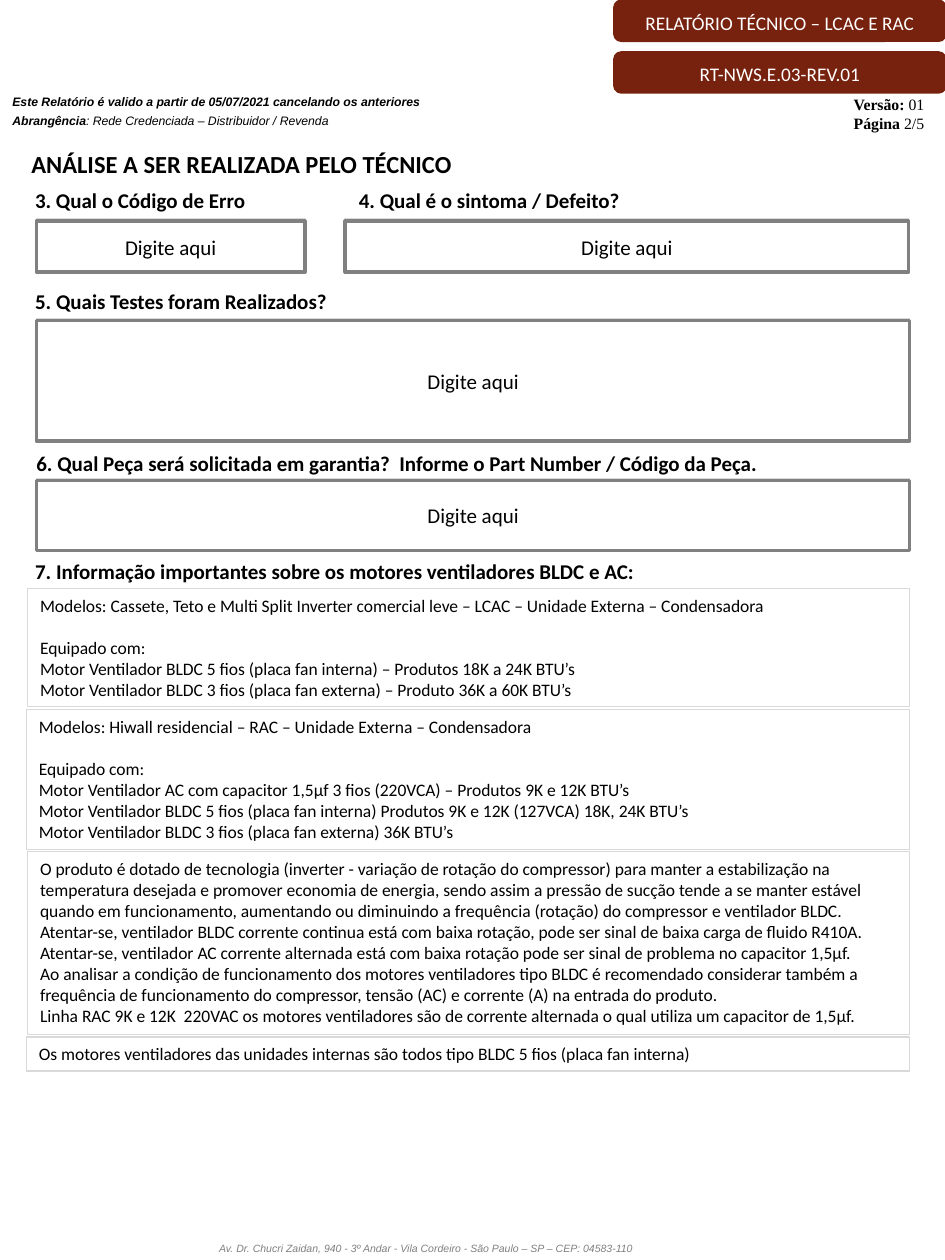
import pptx
import pptx.dml.color
import pptx.enum.shapes
import pptx.enum.text
import pptx.util

RGBColor = pptx.dml.color.RGBColor
ALIGN = pptx.enum.text.PP_ALIGN
ANCHOR = pptx.enum.text.MSO_ANCHOR
AUTO_SIZE = pptx.enum.text.MSO_AUTO_SIZE
SHAPE = pptx.enum.shapes.MSO_SHAPE
Pt = pptx.util.Pt

BROWN = RGBColor(0x77, 0x22, 0x0E)
WHITE = RGBColor(0xFF, 0xFF, 0xFF)
BLACK = RGBColor(0x00, 0x00, 0x00)
GRAY = RGBColor(0x80, 0x80, 0x80)
LIGHT_GRAY = RGBColor(0xD9, 0xD9, 0xD9)

COLUMNS, ROWS = 75, 100
CELL = pptx.util.Inches(7.5) // COLUMNS
FIELD_OFFSET = 0.15

BANNERS = ["RELATÓRIO TÉCNICO – LCAC E RAC", "RT-NWS.E.03-REV.01"]

HEADINGS = [
    (1.5, 11.3, 36.1, 14, "ANÁLISE A SER REALIZADA PELO TÉCNICO"),
    (1.8, 14.4, 19, 12, "3. Qual o Código de Erro"),
    (27.5, 14.4, 23.4, 12, "4. Qual é o sintoma / Defeito?"),
    (1.8, 22.4, 25.8, 12, "5. Quais Testes foram Realizados?"),
    (1.9, 35.3, 59.9, 12,
     "6. Qual Peça será solicitada em garantia?  Informe o Part Number / Código da Peça."),
    (1.8, 43.8, 50.5, 12,
     "7. Informação importantes sobre os motores ventiladores BLDC e AC:"),
]

FIELDS = [
    (2.9, 17.4, 21.3, 4.2),
    (27.4, 17.4, 44.7, 4.2),
    (2.9, 25.3, 69.3, 9.7),
    (2.9, 38, 69.3, 5.7),
]

NOTES = [
    (2.2, 46.7, 9.4, [
        "Modelos: Cassete, Teto e Multi Split Inverter comercial leve – LCAC – Unidade Externa – Condensadora",
        "Equipado com:\vMotor Ventilador BLDC 5 fios (placa fan interna) – Produtos 18K a 24K BTU’s",
        "Motor Ventilador BLDC 3 fios (placa fan externa) – Produto 36K a 60K BTU’s",
    ]),
    (2.1, 56.3, 11.1, [
        "Modelos: Hiwall residencial – RAC – Unidade Externa – Condensadora",
        "Equipado com:",
        "Motor Ventilador AC com capacitor 1,5µf 3 fios (220VCA) – Produtos 9K e 12K BTU’s",
        "Motor Ventilador BLDC 5 fios (placa fan interna) Produtos 9K e 12K (127VCA) 18K, 24K BTU’s",
        "Motor Ventilador BLDC 3 fios (placa fan externa) 36K BTU’s",
    ]),
    (2.2, 67.6, 14.5, [
        "O produto é dotado de tecnologia (inverter - variação de rotação do compressor) para manter a "
        "estabilização na temperatura desejada e promover economia de energia, sendo assim a pressão de "
        "sucção tende a se manter estável quando em funcionamento, aumentando ou diminuindo a frequência "
        "(rotação) do compressor e ventilador BLDC. Atentar-se, ventilador BLDC corrente continua está com "
        "baixa rotação, pode ser sinal de baixa carga de fluido R410A.\v"
        "Atentar-se, ventilador AC corrente alternada está com baixa rotação pode ser sinal de problema no "
        "capacitor 1,5µf.",
        "Ao analisar a condição de funcionamento dos motores ventiladores tipo BLDC é recomendado considerar "
        "também a frequência de funcionamento do compressor, tensão (AC) e corrente (A) na entrada do produto.",
        "Linha RAC 9K e 12K  220VAC os motores ventiladores são de corrente alternada o qual utiliza um "
        "capacitor de 1,5µf.",
    ]),
    (2.1, 82.3, 2.7, [
        "Os motores ventiladores das unidades internas são todos tipo BLDC 5 fios (placa fan interna)",
    ]),
]


def grid(*lengths):
    return [round(length * CELL) for length in lengths]


def style(paragraph, size, name="Calibri", color=BLACK, align=ALIGN.LEFT, bold=None, italic=None):
    paragraph.alignment = align
    font = paragraph.font
    font.size, font.name = Pt(size), name
    font.bold, font.italic = bold, italic
    font.color.rgb = color


def space_out(paragraph):
    paragraph.line_spacing = 1.15
    paragraph.space_after = Pt(10)


def add_box(slide, place, line, width, kind=SHAPE.RECTANGLE, fill=None):
    shape = slide.shapes.add_shape(kind, *grid(*place))
    shape.shadow.inherit = False
    if fill is None:
        shape.fill.background()
    else:
        shape.fill.solid()
        shape.fill.fore_color.rgb = fill
    shape.line.color.rgb = line
    shape.line.width = Pt(width)
    shape.text_frame.word_wrap = True
    return shape


def add_text(slide, place):
    frame = slide.shapes.add_textbox(*grid(*place)).text_frame
    frame.word_wrap = True
    return frame


def add_parts(paragraph, bold_text, plain_text):
    for text, bold in ((bold_text, True), (plain_text, False)):
        run = paragraph.add_run()
        run.text = text
        run.font.bold = bold


def add_banner(slide, top, text):
    shape = add_box(slide, (48.8, top, 26.2, 3.1), BROWN, 2, SHAPE.ROUNDED_RECTANGLE, BROWN)
    shape.text_frame.vertical_anchor = ANCHOR.MIDDLE
    paragraph = shape.text_frame.paragraphs[0]
    paragraph.text = text
    space_out(paragraph)
    style(paragraph, 11, color=WHITE, align=ALIGN.CENTER)


def add_heading(slide, left, top, width, size, text):
    frame = add_text(slide, (left, top, width, 3.4 if size > 12 else 3))
    frame.word_wrap = False
    frame.auto_size = AUTO_SIZE.SHAPE_TO_FIT_TEXT
    frame.paragraphs[0].text = text
    style(frame.paragraphs[0], size, bold=True)


def add_field(slide, left, top, width, height):
    add_box(slide, (left, top, width, height), LIGHT_GRAY, 1)
    place = (left, top + FIELD_OFFSET, width, height - FIELD_OFFSET)
    frame = add_box(slide, place, GRAY, 2).text_frame
    frame.vertical_anchor = ANCHOR.MIDDLE
    frame.paragraphs[0].text = "Digite aqui"
    style(frame.paragraphs[0], 12, align=ALIGN.CENTER)


def add_note(slide, left, top, height, texts):
    frame = add_box(slide, (left, top, 72.2 - left, height), LIGHT_GRAY, 0.75).text_frame
    frame.vertical_anchor = ANCHOR.TOP
    frame.auto_size = AUTO_SIZE.SHAPE_TO_FIT_TEXT
    for index, text in enumerate(texts):
        paragraph = frame.add_paragraph() if index else frame.paragraphs[0]
        paragraph.text = text
        if text.startswith("Equipado com:"):
            paragraph.space_before = Pt(12)
        style(paragraph, 10)


def add_validity(slide):
    validity = add_text(slide, (0, 6.8, 43.8, 1.4)).paragraphs[0]
    validity.text = "Este Relatório é valido a partir de 05/07/2021 cancelando os anteriores"
    space_out(validity)
    style(validity, 7, "Arial", bold=True, italic=True)
    scope = add_text(slide, (0, 8.3, 41.6, 2.3)).paragraphs[0]
    add_parts(scope, "Abrangência", ": Rede Credenciada – Distribuidor / Revenda")
    space_out(scope)
    style(scope, 7, "Arial", italic=True)


def add_version(slide):
    frame = add_text(slide, (66.3, 7.3, 8.5, 3.5))
    frame.vertical_anchor = ANCHOR.MIDDLE
    frame.margin_left = frame.margin_right = frame.margin_top = frame.margin_bottom = 0
    for paragraph, parts in (
        (frame.paragraphs[0], ("Versão:", " 01")),
        (frame.add_paragraph(), ("Página ", "2/5")),
    ):
        add_parts(paragraph, *parts)
        style(paragraph, 9, "Times New Roman", align=ALIGN.CENTER)


def add_footer(slide):
    paragraph = add_text(slide, (0, 97.9, 67.6, 2.1)).paragraphs[0]
    paragraph.text = "Av. Dr. Chucri Zaidan, 940 - 3º Andar - Vila Cordeiro - São Paulo – SP – CEP: 04583-110"
    space_out(paragraph)
    style(paragraph, 6, "Arial", GRAY, ALIGN.CENTER, italic=True)


def main():
    presentation = pptx.Presentation()
    presentation.slide_width, presentation.slide_height = grid(COLUMNS, ROWS)
    slide = presentation.slides.add_slide(presentation.slide_layouts[6])
    for index, text in enumerate(BANNERS):
        add_banner(slide, 0.1 + 4.1 * index, text)
    add_validity(slide)
    add_version(slide)
    for heading in HEADINGS:
        add_heading(slide, *heading)
    for field in FIELDS:
        add_field(slide, *field)
    for note in NOTES:
        add_note(slide, *note)
    add_footer(slide)
    presentation.save("out.pptx")


if __name__ == "__main__":
    main()
